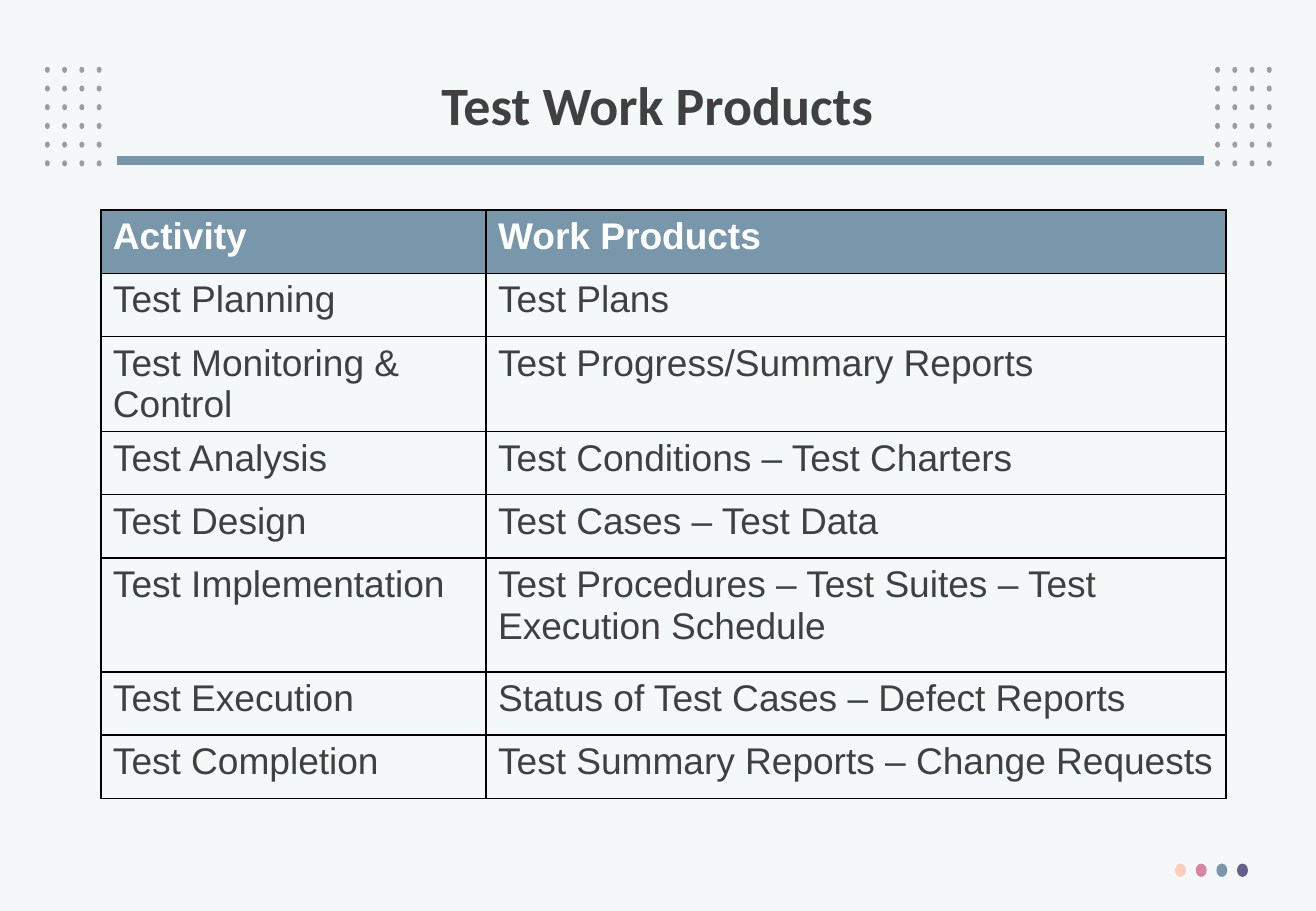
from itertools import product
from lxml.etree import SubElement
from pptx import Presentation
from pptx.dml.color import RGBColor
from pptx.enum.shapes import MSO_CONNECTOR, MSO_SHAPE
from pptx.enum.text import MSO_ANCHOR, MSO_AUTO_SIZE, PP_ALIGN
from pptx.oxml import parse_xml
from pptx.oxml.ns import nsdecls, qn
from pptx.util import Inches, Pt

COLORS = {
    "background": "F5F8F9",
    "text": "404040",
    "white": "FFFFFF",
    "border": "000000",
    "dot": "9D9D9D",
    "peach": "FDCEB9",
    "pink": "D885A3",
    "blue": "7897AB",
    "purple": "655D8A",
}
ROWS = [
    ("Activity", "Work Products"),
    ("Test Planning", "Test Plans"),
    ("Test Monitoring & Control", "Test Progress/Summary Reports"),
    ("Test Analysis", "Test Conditions – Test Charters"),
    ("Test Design", "Test Cases – Test Data"),
    ("Test Implementation", "Test Procedures – Test Suites – Test Execution Schedule"),
    ("Test Execution", "Status of Test Cases – Defect Reports"),
    ("Test Completion", "Test Summary Reports – Change Requests"),
]
ROW_HEIGHTS = [0.52, 0.52, 0.78, 0.52, 0.52, 0.94, 0.52, 0.52]


def rgb(name):
    return RGBColor.from_string(COLORS[name])


def add_dot(shapes, left, top, width, height, color):
    sp = shapes.add_shape(
        MSO_SHAPE.OVAL, Inches(left), Inches(top), Inches(width), Inches(height)
    )
    sp.shadow.inherit = False
    sp.fill.solid()
    sp.fill.fore_color.rgb = rgb(color)
    sp.line.fill.background()


prs = Presentation()
prs.slide_width = Inches(10.83)
prs.slide_height = Inches(7.5)
slide = prs.slides.add_slide(prs.slide_layouts[5])
slide.background.fill.solid()
slide.background.fill.fore_color.rgb = rgb("background")

for grid_left in (0.37, 10):
    grid = slide.shapes.add_group_shape()
    for row, col in product(range(6), range(4)):
        add_dot(grid.shapes, grid_left + col * 0.142, 0.55 + row * 0.154, 0.04, 0.05, "dot")

rule = slide.shapes.add_connector(
    MSO_CONNECTOR.STRAIGHT, Inches(0.96), Inches(1.32), Inches(9.91), Inches(1.32)
)
rule.line.color.rgb = rgb("blue")
rule.line.width = Pt(5.25)
SubElement(rule._element.spPr, qn("a:effectLst"))

accents = slide.shapes.add_group_shape()
for i, color in enumerate(("peach", "pink", "blue", "purple")):
    add_dot(accents.shapes, 9.67 + i * 0.17, 7.11, 0.09, 0.11, color)

title = slide.shapes.title
title.left, title.top = Inches(0.74), Inches(0.4)
title.width, title.height = Inches(9.34), Inches(0.98)
tf = title.text_frame
tf.text = "Test Work Products"
tf.auto_size = MSO_AUTO_SIZE.NONE
tf.vertical_anchor = MSO_ANCHOR.MIDDLE
p = tf.paragraphs[0]
p.alignment = PP_ALIGN.CENTER
p.line_spacing = 0.9
font = p.runs[0].font
font.name, font.size, font.bold = "Calibri", Pt(32), True
font.color.rgb = rgb("text")

table = slide.shapes.add_table(
    len(ROWS), 2, Inches(0.83), Inches(1.73), Inches(9.26), Inches(sum(ROW_HEIGHTS))
).table
table.horz_banding = False
table.columns[0].width = Inches(3.17)
table.columns[1].width = Inches(6.09)
for r, (texts, height) in enumerate(zip(ROWS, ROW_HEIGHTS)):
    table.rows[r].height = Inches(height)
    header = r == 0
    for c, text in enumerate(texts):
        cell = table.cell(r, c)
        cell.text_frame.text = text
        font = cell.text_frame.paragraphs[0].runs[0].font
        font.name, font.size, font.bold = "Arial", Pt(22), header
        font.color.rgb = rgb("white" if header else "text")
        tcPr = cell._tc.get_or_add_tcPr()
        for side in ("lnL", "lnR", "lnT", "lnB"):
            tcPr.append(parse_xml(
                f'<a:{side} {nsdecls("a")} w="{Pt(1)}"><a:solidFill>'
                f'<a:srgbClr val="{COLORS["border"]}"/></a:solidFill></a:{side}>'
            ))
        if header:
            cell.fill.solid()
            cell.fill.fore_color.rgb = rgb("blue")
        else:
            cell.fill.background()

prs.save("out.pptx")
